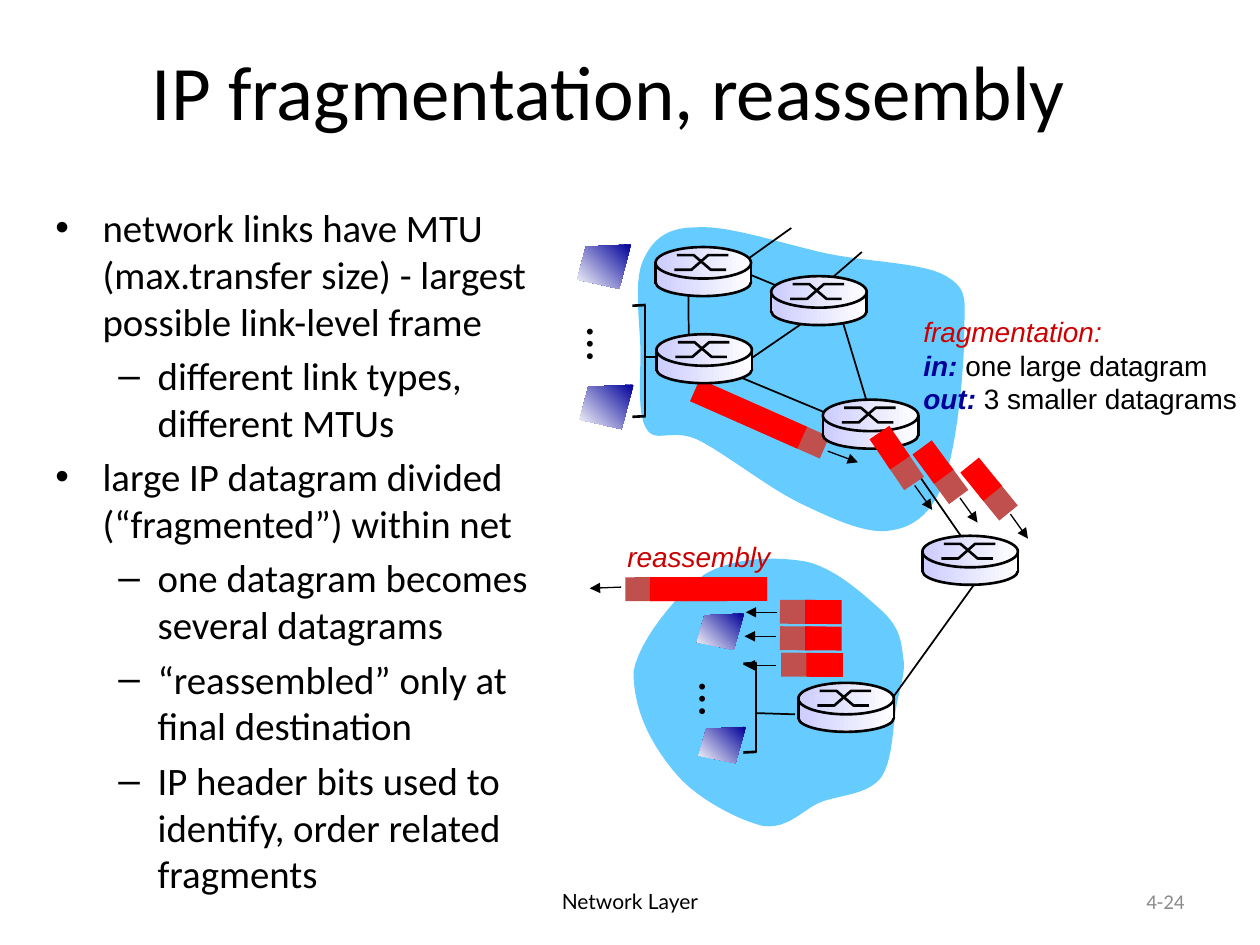
from dataclasses import dataclass
from math import cos, radians, sin

from lxml.etree import SubElement
from pptx import Presentation
from pptx.dml.color import RGBColor
from pptx.enum.shapes import MSO_CONNECTOR, MSO_SHAPE
from pptx.enum.text import MSO_ANCHOR, MSO_AUTO_SIZE, PP_ALIGN
from pptx.oxml.ns import qn
from pptx.util import Pt


@dataclass(frozen=True)
class Theme:
    ink: str = "000000"
    muted: str = "8C8C8C"
    cloud: str = "66CCFF"
    header: str = "C0504D"
    payload: str = "FF0000"
    accent: str = "CC0000"
    navy: str = "000099"
    lilac: str = "CCCCFF"
    white: str = "FFFFFF"
    title: float = 44
    body: float = 22.2
    dots: float = 28
    label: float = 16
    footer: float = 12
    text_font: str = "Calibri"
    label_font: str = "Arial"
    footer_font: str = "Lato"


class Diagram:
    def __init__(self, page, theme):
        self.page = page
        self.theme = theme

    def style_run(self, span, size, font, color, bold=False, italic=False):
        span.font.size = Pt(size)
        span.font.name = font
        span.font.color.rgb = RGBColor.from_string(color)
        span.font.bold = bold
        span.font.italic = italic

    def text_box(self, left, top, width, height, wrap=True, anchor=MSO_ANCHOR.TOP):
        box = self.page.shapes.add_textbox(Pt(left), Pt(top), Pt(width), Pt(height))
        box.text_frame.word_wrap = wrap
        box.text_frame.auto_size = MSO_AUTO_SIZE.NONE if wrap else MSO_AUTO_SIZE.SHAPE_TO_FIT_TEXT
        box.text_frame.vertical_anchor = anchor
        return box

    def line_of_text(self, text, frame, size, font, color, align):
        box = self.text_box(*frame, anchor=MSO_ANCHOR.MIDDLE)
        box.text_frame.text = text
        para = box.text_frame.paragraphs[0]
        para.alignment = align
        self.style_run(para.runs[0], size, font, color)

    def bullets(self, items, frame):
        text_frame = self.text_box(*frame).text_frame
        text_frame.text = "\n".join(text for _, text in items)
        levels = [(27, -27, "•"), (58.5, -22.5, "–")]
        for index, (para, (level, _)) in enumerate(zip(text_frame.paragraphs, items)):
            margin, indent, mark = levels[level]
            para.level = level
            properties = para._p.get_or_add_pPr()
            properties.set("marL", str(Pt(margin)))
            properties.set("indent", str(Pt(indent)))
            SubElement(properties, qn("a:buFont")).set("typeface", "Arial")
            SubElement(properties, qn("a:buChar")).set("char", mark)
            para.line_spacing = Pt(26.7)
            para.space_before = Pt(4.4 if index else 0)
            self.style_run(para.runs[0], self.theme.body, self.theme.text_font, self.theme.ink)

    def label(self, rows, frame):
        """Each row lists (text, color, bold, italic) runs."""
        text_frame = self.text_box(*frame, wrap=False).text_frame
        for index, row in enumerate(rows):
            para = text_frame.add_paragraph() if index else text_frame.paragraphs[0]
            for text, color, bold, italic in row:
                span = para.add_run()
                span.text = text
                self.style_run(span, self.theme.label, self.theme.label_font, color, bold, italic)

    def paint(self, shape, fill=None, line=None, angle=0):
        """A pair of colors as fill makes a gradient."""
        shape.shadow.inherit = False
        if fill is None:
            shape.fill.background()
        elif isinstance(fill, str):
            shape.fill.solid()
            shape.fill.fore_color.rgb = RGBColor.from_string(fill)
        else:
            shape.fill.gradient()
            shape.fill.gradient_angle = angle
            for position, (stop, color) in enumerate(zip(shape.fill.gradient_stops, fill)):
                stop.position = position
                stop.color.rgb = RGBColor.from_string(color)
        if line is None:
            shape.line.fill.background()
        else:
            shape.line.color.rgb = RGBColor.from_string(self.theme.ink)
            shape.line.width = Pt(line)

    def preset(self, kind, left, top, width, height, fill, line=None):
        shape = self.page.shapes.add_shape(kind, Pt(left), Pt(top), Pt(width), Pt(height))
        self.paint(shape, fill, line)
        return shape

    def outline(self, points, close=True, **paint):
        points = [(Pt(x), Pt(y)) for x, y in points]
        builder = self.page.shapes.build_freeform(*points[0])
        builder.add_line_segments(points[1:], close=close)
        self.paint(builder.convert_to_shape(), **paint)

    def cloud(self, start, curves, steps=12):
        points = [start]
        for x1, y1, x2, y2, x3, y3 in curves:
            x0, y0 = points[-1]
            for step in range(1, steps + 1):
                t = step / steps
                a, b, c, d = (1 - t) ** 3, 3 * t * (1 - t) ** 2, 3 * t * t * (1 - t), t ** 3
                points.append((a * x0 + b * x1 + c * x2 + d * x3,
                               a * y0 + b * y1 + c * y2 + d * y3))
        self.outline(points, fill=self.theme.cloud)

    def link(self, x1, y1, x2, y2, width=1.0, arrow=False):
        line = self.page.shapes.add_connector(MSO_CONNECTOR.STRAIGHT, Pt(x1), Pt(y1), Pt(x2), Pt(y2))
        line.line.color.rgb = RGBColor.from_string(self.theme.ink)
        line.line.width = Pt(width)
        if arrow:
            SubElement(line.line._get_or_add_ln(), qn("a:tailEnd")).set("type", "triangle")
        SubElement(line._element.spPr, qn("a:effectLst"))

    def arrow(self, *ends):
        self.link(*ends, width=0.75, arrow=True)

    def packet(self, x, y, angle, header=18, payload=20.9, shift=15.8):
        """Header centred on (x, y); the payload lies behind it along the angle."""
        turn = radians(angle)
        for length, offset, color in ((header, 0, self.theme.header),
                                      (payload, shift, self.theme.payload)):
            part = self.preset(MSO_SHAPE.RECTANGLE, x - offset * cos(turn) - length / 2,
                               y - offset * sin(turn) - 6.85, length, 13.7, color)
            part.rotation = angle

    def large_packet(self, x, y, angle):
        self.packet(x, y, angle, header=81, payload=67, shift=7)

    def router(self, left, top, width=54.6):
        shade = (self.theme.lilac, self.theme.white)
        self.preset(MSO_SHAPE.OVAL, left, top + 12.2, width, 15.8, shade, 1.5)
        self.preset(MSO_SHAPE.RECTANGLE, left, top + 10.8, width, 9.4, shade)
        self.preset(MSO_SHAPE.OVAL, left, top, width, 18, shade, 1.5)
        high, low = top + 4.6, top + 13
        for xs, first, last in (((10.8, 20.5, 30.1, 41.6), low, high),
                                ((12.2, 21.8, 31.6, 40.3), high, low)):
            ys = (first, first, last, last)
            self.outline([(left + x, y) for x, y in zip(xs, ys)], close=False, line=1.5)
        for x in (left, left + width):
            self.link(x, top + 8.8, x, top + 20.9, 1.5)

    def host(self, left, top, width, height):
        corners = ((1, 0), (0.16, 0.05), (0, 0.79), (0.78, 1))
        self.outline([(left + x * width, top + y * height) for x, y in corners],
                     fill=(self.theme.navy, self.theme.white), angle=225)

    def network(self, bar, top, bottom, hosts, size, dots):
        """A bracket-shaped LAN with two hosts and an ellipsis between them."""
        for y in (top, bottom):
            self.link(bar - 7.2, y + 0.4, bar + 0.4, y, 1.5)
        self.link(bar, top, bar, bottom)
        for left, y in hosts:
            self.host(left, y, *size)
        box = self.text_box(*dots, 42.5, 41, wrap=False)
        box.rotation = 90
        box.text_frame.text = "…"
        self.style_run(box.text_frame.paragraphs[0].runs[0], self.theme.dots,
                       self.theme.text_font, self.theme.ink)


def main():
    deck = Presentation()
    deck.slide_width, deck.slide_height = Pt(720), Pt(540)
    theme = Theme()
    draw = Diagram(deck.slides.add_slide(deck.slide_layouts[6]), theme)

    # Title, footer and bullets
    draw.line_of_text("Network Layer", (246, 500.5, 228, 28.8), theme.footer,
                      theme.footer_font, theme.ink, PP_ALIGN.CENTER)
    draw.line_of_text("4-24", (516, 500.5, 168, 28.8), theme.footer,
                      theme.text_font, theme.muted, PP_ALIGN.RIGHT)
    draw.line_of_text("IP fragmentation, reassembly", (42, 14.4, 612, 73.4), theme.title,
                      theme.text_font, theme.ink, PP_ALIGN.CENTER)
    draw.bullets([
        (0, "network links have MTU (max.transfer size) - largest possible link-level frame"),
        (1, "different link types, different MTUs"),
        (0, "large IP datagram divided (“fragmented”) within net"),
        (1, "one datagram becomes several datagrams"),
        (1, "“reassembled” only at final destination"),
        (1, "IP header bits used to identify, order related fragments"),
    ], (24.5, 113, 300, 401))

    # Clouds
    draw.cloud((397, 130), [
        (380, 130, 372, 138, 367, 150), (362, 163, 366, 186, 366, 202),
        (366, 218, 364, 238, 370, 246), (375, 253, 384, 245, 398, 251),
        (413, 258, 439, 279, 458, 288), (477, 297, 496, 306, 510, 303),
        (523, 301, 534, 292, 540, 273), (547, 254, 551, 210, 551, 192),
        (551, 172, 554, 166, 541, 158), (528, 150, 497, 150, 473, 145),
        (449, 140, 415, 128, 397, 130)])
    draw.cloud((362, 384), [
        (365, 366, 387, 339, 403, 328), (420, 318, 444, 318, 461, 321),
        (478, 325, 495, 341, 505, 350), (514, 359, 515, 366, 516, 375),
        (518, 384, 514, 393, 512, 405), (510, 417, 510, 436, 503, 445),
        (495, 454, 482, 454, 470, 458), (459, 462, 451, 474, 436, 472),
        (423, 469, 399, 457, 387, 443), (374, 428, 362, 408, 362, 384)])

    # Links between routers
    for ends in ((368, 204, 378, 204), (413, 150.5, 465, 172), (479.5, 177, 495.4, 229.7),
                 (393.4, 159, 393.6, 205), (412, 211, 488, 242.6), (549.4, 306.7, 512, 252.7),
                 (473.8, 174.2, 414, 215.3), (452.2, 130.3, 414.7, 157), (492.5, 144, 471, 162.7),
                 (558.7, 331.2, 509, 400.3), (432, 407.5, 454.3, 408.2)):
        draw.link(*ends)

    # Large datagram going in
    draw.large_packet(434.2, 239.4, 23.9)
    draw.arrow(473, 257.8, 490.3, 264.2)
    draw.label([
        [("fragmentation:", theme.accent, False, True)],
        [("in:", theme.navy, True, True), (" one large datagram", theme.ink, False, False)],
        [("out:", theme.navy, True, True), (" 3 smaller datagrams", theme.ink, False, False)],
    ], (520.6, 176.4, 194.4, 64.8))

    # Fragments arriving and the reassembled datagram
    for x, y in ((454.7, 349.6), (454.7, 364.7), (455.4, 379.8)):
        draw.packet(x, y, 180.4)
    for x, y in ((444.2, 349.9), (443.5, 363.6), (443.5, 380.2)):
        draw.arrow(x, y, x - 18, y)
    draw.large_packet(397.8, 336.6, 179.9)
    draw.arrow(355, 335.5, 337, 336.2)
    draw.label([[("reassembly", theme.accent, False, True)]], (351.4, 304.6, 96.5, 26.6))

    # Sending hosts and routers
    draw.network(368.6, 174.3, 237.8, ((329.8, 139.7), (331.2, 219.8)), (30.8, 25.4), (325.4, 180.7))
    for left, top in ((470.2, 228.4), (374.6, 141.2), (375.1, 191), (440.7, 157.8)):
        draw.router(left, top)

    # Three fragments going out
    for x, y, angle in ((517.3, 268.9, 55.8), (542.5, 276.8, 53.6), (570.6, 286.2, 50.9)):
        draw.packet(x, y, angle)
    for x, y in ((522.7, 277.4), (548.6, 284.6), (577.4, 293.8)):
        draw.arrow(x, y, x + 10, y + 14)

    # Receiving side
    for left, top in ((527.1, 306.2), (456.2, 390.2)):
        draw.router(left, top)
    draw.network(432, 378.9, 429.6, ((398.2, 350.6), (399.2, 415.4)), (27, 20.8), (389.5, 383.8))

    deck.save("out.pptx")


if __name__ == "__main__":
    main()
